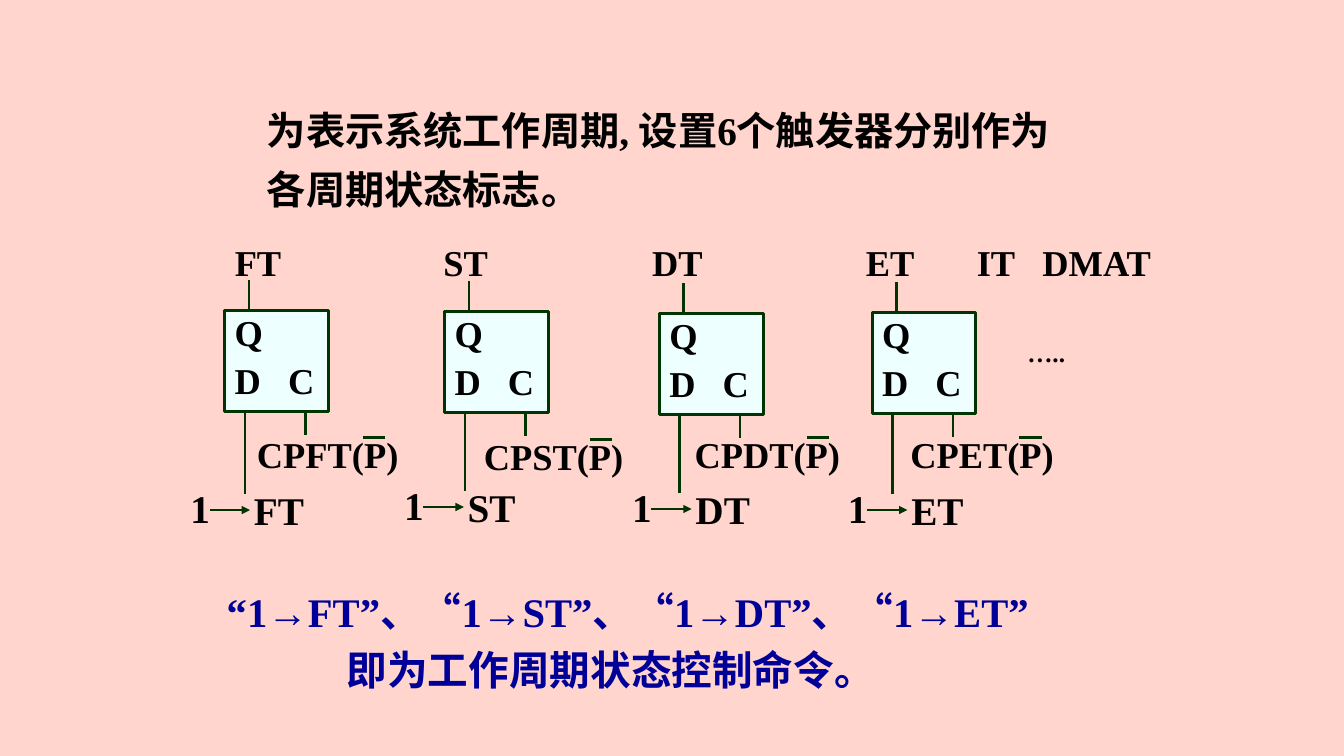
from dataclasses import dataclass

from lxml import etree
from pptx import Presentation, util as u
from pptx.dml import color
from pptx.enum import shapes, text
from pptx.oxml import ns

FONT = "Times New Roman"
BACKGROUND = "FFD5CD"
BOX_FILL = "EDFFFF"
GREEN = "003400"
BLACK = "000000"
BLUE = "000099"
BOX_WIDTH, BOX_HEIGHT = 1.03, 1.0


@dataclass
class FlipFlop:
    name: str
    left: float
    top: float
    command_left: float
    command_top: float
    clock_left: float
    clock_top: float
    bar_left: float


FLIP_FLOPS = [
    FlipFlop("FT", 2.23, 3.08, 1.79, 4.76, 2.45, 4.24, 3.6),
    FlipFlop("ST", 4.41, 3.09, 3.91, 4.73, 4.7, 4.26, 5.85),
    FlipFlop("DT", 6.54, 3.11, 6.17, 4.75, 6.79, 4.24, 8.0),
    FlipFlop("ET", 8.65, 3.1, 8.31, 4.76, 8.93, 4.24, 10.11),
]


def rgb(value: str) -> color.RGBColor:
    return color.RGBColor.from_string(value)


def write(paragraph, words: str, *, size: float, hue: str = BLACK,
          spacing=None, before: float = 0, indent: float = 0, tabs=()) -> None:
    properties = paragraph._p.get_or_add_pPr()
    if indent:
        properties.set("marL", str(u.Inches(indent)))
        properties.set("indent", "0")
    if tabs:
        tab_list = etree.SubElement(properties, ns.qn("a:tabLst"))
        for position in tabs:
            etree.SubElement(tab_list, ns.qn("a:tab"),
                             pos=str(u.Inches(position)), algn="l")
    paragraph.alignment = text.PP_ALIGN.LEFT
    if spacing:
        paragraph.line_spacing = spacing
    if before:
        paragraph.space_before = u.Pt(before)
    run = paragraph.add_run()
    run.text = words
    run.font.name = FONT
    run.font.size = u.Pt(size)
    run.font.bold = True
    run.font.color.rgb = rgb(hue)


def add_text(slide, words: str, left: float, top: float, width: float,
             height: float, **style):
    box = slide.shapes.add_textbox(*map(u.Inches, (left, top, width, height)))
    frame = box.text_frame
    frame.word_wrap = True
    write(frame.paragraphs[0], words, **style)
    return frame


def add_line(slide, x1: float, y1: float, x2: float, y2: float, *,
             width: float = 1.75, arrow: bool = False) -> None:
    connector = slide.shapes.add_connector(
        shapes.MSO_CONNECTOR.STRAIGHT, *map(u.Inches, (x1, y1, x2, y2)))
    connector.line.color.rgb = rgb(GREEN)
    connector.line.width = u.Pt(width)
    if arrow:
        etree.SubElement(connector.line._get_or_add_ln(),
                         ns.qn("a:tailEnd"), type="triangle")
    etree.SubElement(connector._element.spPr, ns.qn("a:effectLst"))


def add_flip_flop(slide, item: FlipFlop) -> None:
    box = slide.shapes.add_shape(
        shapes.MSO_SHAPE.RECTANGLE,
        *map(u.Inches, (item.left, item.top, BOX_WIDTH, BOX_HEIGHT)))
    box.shadow.inherit = False
    box.fill.solid()
    box.fill.fore_color.rgb = rgb(BOX_FILL)
    box.line.color.rgb = rgb(GREEN)
    box.line.width = u.Pt(2)
    frame = box.text_frame
    frame.word_wrap = True
    frame.vertical_anchor = text.MSO_ANCHOR.TOP
    write(frame.paragraphs[0], "Q", size=26, spacing=0.9)
    write(frame.add_paragraph(), "D\tC", size=26, before=2.6, tabs=[0.53])

    bottom = item.top + BOX_HEIGHT
    output_x, data_x, clock_x = (item.left + offset for offset in (0.24, 0.2, 0.8))
    add_line(slide, output_x, item.top, output_x, item.top - 0.3)
    add_line(slide, data_x, bottom, data_x, item.command_top + 0.14)
    add_line(slide, clock_x, bottom, clock_x, bottom + 0.24)

    add_text(slide, "1", item.command_left, item.command_top, 0.82, 0.57, size=28)
    arrow_left, arrow_y = item.command_left + 0.29, item.command_top + 0.3
    add_line(slide, arrow_left, arrow_y, arrow_left + 0.4, arrow_y, arrow=True)
    add_text(slide, item.name, item.command_left + 0.63, item.command_top + 0.02,
             0.9, 0.57, size=28)

    add_text(slide, f"CP{item.name}(P)", item.clock_left, item.clock_top,
             1.77, 0.53, size=26)
    bar_y = item.clock_top + 0.1
    add_line(slide, item.bar_left, bar_y, item.bar_left + 0.22, bar_y, width=2)


def main() -> None:
    presentation = Presentation()
    presentation.slide_width = u.Inches(13.33)
    presentation.slide_height = u.Inches(7.5)
    slide = presentation.slides.add_slide(presentation.slide_layouts[6])
    slide.background.fill.solid()
    slide.background.fill.fore_color.rgb = rgb(BACKGROUND)

    add_text(slide, "为表示系统工作周期, 设置6个触发器分别作为各周期状态标志。",
             2.55, 0.89, 8.03, 1.22, size=28, spacing=u.Pt(42))
    add_text(slide, "FT\tST\tDT\tET\tIT\tDMAT", 2.23, 2.33, 9.41, 0.53,
             size=26, tabs=[2.07, 4.14, 6.26, 7.36, 8.01])
    for item in FLIP_FLOPS:
        add_flip_flop(slide, item)
    add_text(slide, "…..", 10.09, 3.3, 0.95, 0.4, size=18)

    commands = add_text(slide, "“1→FT”、“1→ST”、“1→DT”、“1→ET”",
                        2.15, 5.67, 8.58, 1.22,
                        size=29, hue=BLUE, spacing=u.Pt(42))
    write(commands.add_paragraph(), "即为工作周期状态控制命令。",
          size=29, hue=BLUE, spacing=u.Pt(42), indent=1.19)
    presentation.save("out.pptx")


if __name__ == "__main__":
    main()
